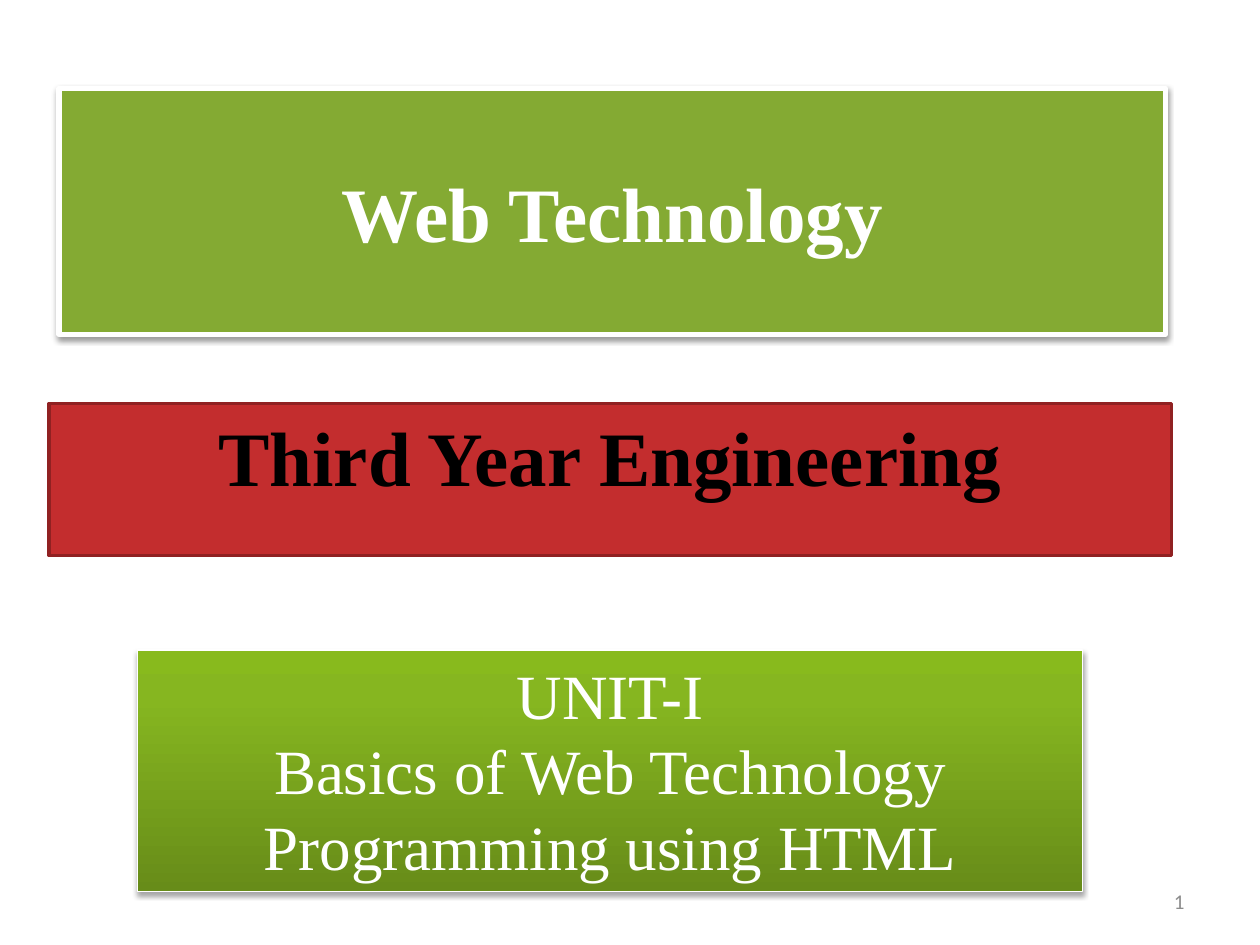
from pptx import Presentation
from pptx.dml.color import RGBColor
from pptx.enum import shapes, text
from pptx.oxml import parse_xml
from pptx.oxml.ns import nsdecls
from pptx.util import Pt

COLORS = {
    "title": "84AA33", "course": "C32D2E", "course_edge": "902122",
    "white": "FFFFFF", "black": "000000", "number": "8C8C8C",
    "unit_dark": "678C19", "unit_mid": "86B620", "unit_light": "88BA1D",
}
SERIF = "Times New Roman"


def rgb(name):
    return RGBColor.from_string(COLORS[name])


def write(shape, lines, size, color, font=SERIF, bold=False,
          align=text.PP_ALIGN.CENTER, anchor=text.MSO_ANCHOR.TOP):
    frame = shape.text_frame
    frame.word_wrap = True
    frame.vertical_anchor = anchor
    frame.text = "\n".join(lines)
    for paragraph in frame.paragraphs:
        paragraph.alignment = align
        paragraph.font.name = font
        paragraph.font.size = Pt(size)
        paragraph.font.bold = bold
        paragraph.font.color.rgb = rgb(color)


def add_panel(slide, box, fill, edge, edge_width):
    panel = slide.shapes.add_shape(shapes.MSO_SHAPE.RECTANGLE, *map(Pt, box))
    panel.shadow.inherit = False
    panel.fill.solid()
    panel.fill.fore_color.rgb = rgb(fill)
    panel.line.color.rgb = rgb(edge)
    panel.line.width = Pt(edge_width)
    return panel


def add_drop_shadow(shape, blur, distance, opacity):
    properties = shape._element.spPr
    effects = properties.find("{*}effectLst")
    effects.append(parse_xml(
        f'<a:outerShdw {nsdecls("a")} blurRad="{Pt(blur)}" dist="{Pt(distance)}" '
        f'dir="5400000" rotWithShape="0"><a:srgbClr val="{COLORS["black"]}">'
        f'<a:alpha val="{opacity * 1000}"/></a:srgbClr></a:outerShdw>'))


def set_upward_gradient(shape, stops):
    """Replace the solid fill by a gradient running from bottom to top."""
    stop_xml = "".join(
        f'<a:gs pos="{position * 1000}"><a:srgbClr val="{COLORS[name]}"/></a:gs>'
        for position, name in stops)
    properties = shape._element.spPr
    properties.replace(properties.find("{*}solidFill"), parse_xml(
        f'<a:gradFill {nsdecls("a")} rotWithShape="1"><a:gsLst>{stop_xml}</a:gsLst>'
        '<a:lin ang="16200000" scaled="0"/></a:gradFill>'))


def add_title(slide, box):
    panel = add_panel(slide, box, "title", "white", 3)
    add_drop_shadow(panel, 3.1, 1.6, 38)
    write(panel, ["Web Technology"], 44, "white", bold=True,
          anchor=text.MSO_ANCHOR.MIDDLE)


def add_course(slide, box):
    panel = add_panel(slide, box, "course", "course_edge", 2)
    write(panel, ["Third Year Engineering"], 44, "black", bold=True)


def add_unit(slide, box):
    panel = add_panel(slide, box, "unit_dark", "white", 0.75)
    set_upward_gradient(
        panel, [(0, "unit_dark"), (80, "unit_mid"), (100, "unit_light")])
    add_drop_shadow(panel, 3.1, 1.8, 35)
    write(panel, ["UNIT-I", "Basics of Web Technology Programming using HTML"],
          36, "white")


def add_slide_number(slide, box):
    number = slide.shapes.add_textbox(*map(Pt, box))
    write(number, ["1"], 12, "number", font="Calibri",
          align=text.PP_ALIGN.RIGHT, anchor=text.MSO_ANCHOR.MIDDLE)


def main():
    presentation = Presentation()
    presentation.slide_width, presentation.slide_height = Pt(720), Pt(540)
    slide = presentation.slides.add_slide(presentation.slide_layouts[6])
    add_title(slide, (33.75, 50.5, 632.25, 140.5))
    add_course(slide, (28, 230.5, 641.5, 87))
    add_slide_number(slide, (516, 500.5, 168, 28.75))
    add_unit(slide, (78.75, 371.5, 540, 138))
    presentation.save("out.pptx")


if __name__ == "__main__":
    main()
